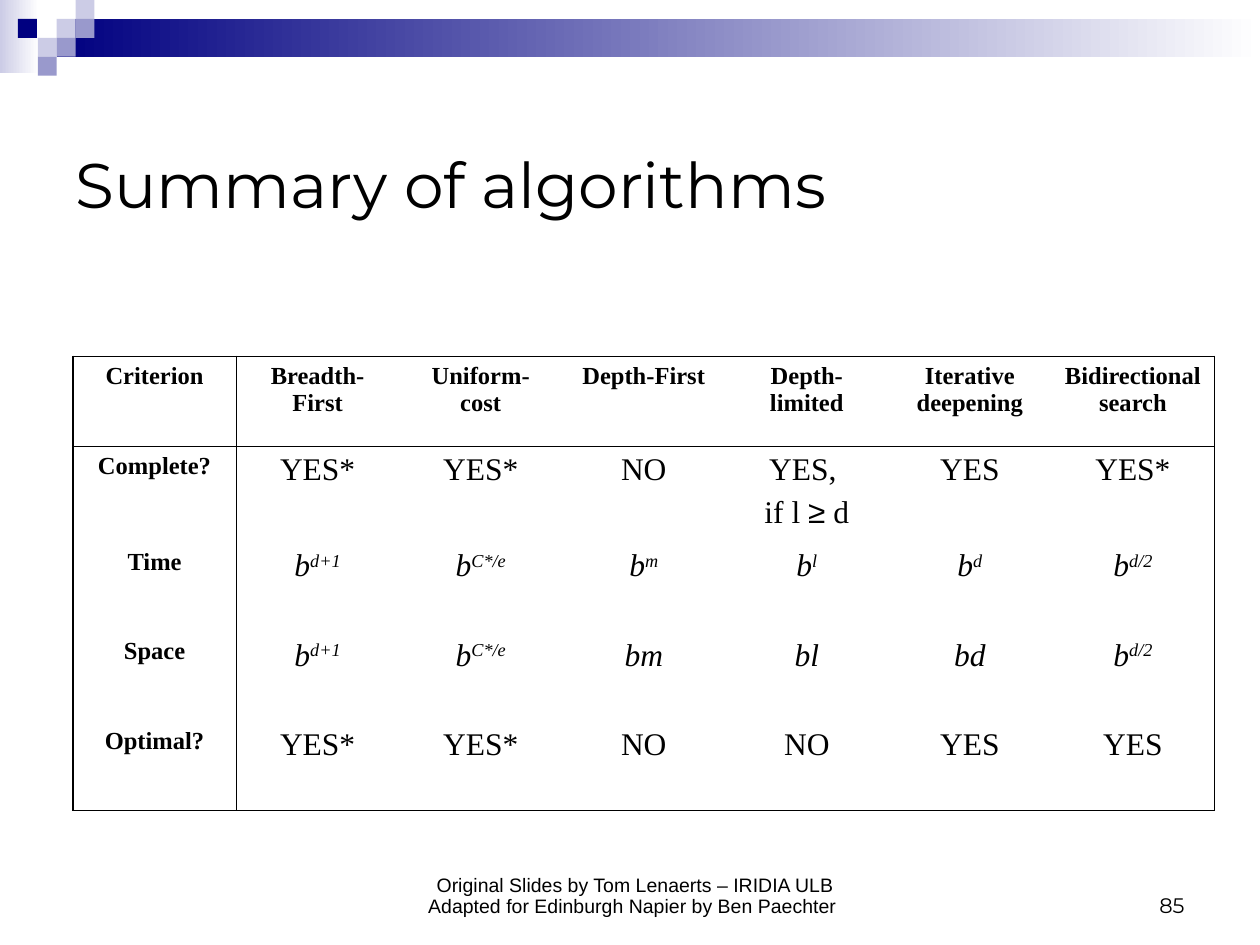
from lxml import etree
from pptx import Presentation
from pptx import util as u
from pptx.dml.color import RGBColor
from pptx.enum import shapes, text
from pptx.oxml.ns import qn

W, H = 10, 7.5
UNIT = 0.15
BLACK, NAVY, LILAC, VIOLET, WHITE = "000000", "000080", "CCCCE6", "9999CC", "FFFFFF"
SERIF, SANS, DISPLAY = "Times New Roman", "Arial", "Montserrat"
LEFT, CENTER, RIGHT = text.PP_ALIGN.LEFT, text.PP_ALIGN.CENTER, text.PP_ALIGN.RIGHT
MIDDLE, BOTTOM = text.MSO_ANCHOR.MIDDLE, text.MSO_ANCHOR.BOTTOM

BANDS = [((0, 0, 0.31, 0.58), LILAC), ((3 * UNIT, UNIT, W - 3 * UNIT, 2 * UNIT), NAVY)]
SQUARES = [(3, 1, LILAC), (4, 0, LILAC), (4, 1, VIOLET), (2, 2, LILAC),
           (0.95, 1, NAVY), (3, 2, VIOLET), (2, 3, VIOLET)]

TEXTS = [
    ((3, 6.83, 4.08, 0.5), ["Original Slides by Tom Lenaerts – IRIDIA ULB",
                            "Adapted for Edinburgh Napier by Ben Paechter "],
     SANS, 11.1, CENTER, BOTTOM, 0.9),
    ((7.17, 6.83, 2.33, 0.5), ["85"], DISPLAY, 12, RIGHT, BOTTOM, 1),
    ((0.5, 0.83, 9, 1.25), ["Summary of algorithms"], DISPLAY, 36, LEFT, MIDDLE, 1),
]

ROWS = [
    ["Criterion", "Breadth-First", "Uniform-cost", "Depth-First", "Depth-limited",
     "Iterative deepening", "Bidirectional search"],
    ["Complete?", "YES*", "YES*", "NO", "YES, \nif l ≥ d", "YES", "YES*"],
    ["Time", "b^d+1", "b^C*/e", "b^m", "b^l", "b^d", "b^d/2"],
    ["Space", "b^d+1", "b^C*/e", "bm", "bl", "bd", "b^d/2"],
    ["Optimal?", "YES*", "YES*", "NO", "NO", "YES", "YES"],
]
FORMULA_ROWS = (2, 3)
ROW_HEIGHTS = [0.71, 0.76, 0.71, 0.71, 0.71]
TABLE_LEFT, TABLE_TOP, TABLE_WIDTH = 0.58, 2.83, 9.06
THICK, THIN = 1.08, 0.45


def rgb(color):
    return RGBColor.from_string(color)


def inches(box):
    return [u.Inches(v) for v in box]


def add_rect(s, box, color, fade=False):
    sp = s.shapes.add_shape(shapes.MSO_SHAPE.RECTANGLE, *inches(box))
    sp.shadow.inherit = False
    sp.line.fill.background()
    if fade:
        sp.fill.gradient()
        sp.fill.gradient_angle = 0
        for stop, c in zip(sp.fill.gradient_stops, (color, WHITE)):
            stop.color.rgb = rgb(c)
    else:
        sp.fill.solid()
        sp.fill.fore_color.rgb = rgb(color)


def style(p, font, size, align):
    p.alignment = align
    p.font.name, p.font.size = font, u.Pt(size)
    p.font.color.rgb = rgb(BLACK)


def add_text(s, box, lines, font, size, align, anchor, spacing):
    tf = s.shapes.add_textbox(*inches(box)).text_frame
    tf.word_wrap = True
    tf.vertical_anchor = anchor
    for i, line in enumerate(lines):
        p = tf.add_paragraph() if i else tf.paragraphs[0]
        p.text = line
        p.line_spacing = spacing
        style(p, font, size, align)


def add_runs(p, line):
    base, _, power = line.partition("^")
    before, sign, after = base.partition("≥")
    for part in filter(None, (before, sign, after)):
        r = p.add_run()
        r.text = part
        if part == "≥":
            r.font.name = SANS
    if power:
        r = p.add_run()
        r.text = power
        r._r.get_or_add_rPr().set("baseline", "30000")


def set_borders(cell, widths):
    tcPr = cell._tc.get_or_add_tcPr()
    for side, width in zip("LRTB", widths):
        ln = etree.SubElement(tcPr, qn(f"a:ln{side}"), w=str(u.Pt(width)))
        if width:
            fill = etree.SubElement(ln, qn("a:solidFill"))
            etree.SubElement(fill, qn("a:srgbClr"), val=BLACK)
        else:
            etree.SubElement(ln, qn("a:noFill"))


def rule_width(i, count):
    return THICK if i in (0, count) else THIN if i == 1 else 0


def fill_cell(cell, content, i, j):
    label = i == 0 or j == 0
    tf = cell.text_frame
    for k, line in enumerate(content.split("\n")):
        p = tf.add_paragraph() if k else tf.paragraphs[0]
        add_runs(p, line)
        style(p, SERIF, 14 if label else 18, CENTER)
        p.font.bold = label
        p.font.italic = not label and i in FORMULA_ROWS
        if k:
            p.space_before = u.Pt(4.5)


def add_criteria_table(s):
    n, m = len(ROWS), len(ROWS[0])
    box = (TABLE_LEFT, TABLE_TOP, TABLE_WIDTH, sum(ROW_HEIGHTS))
    table = s.shapes.add_table(n, m, *inches(box)).table
    table.first_row = table.horz_banding = False
    for col in table.columns:
        col.width = u.Inches(TABLE_WIDTH / m)
    for i, (row, height) in enumerate(zip(ROWS, ROW_HEIGHTS)):
        table.rows[i].height = u.Inches(height)
        for j, content in enumerate(row):
            cell = table.cell(i, j)
            fill_cell(cell, content, i, j)
            set_borders(cell, (rule_width(j, m), rule_width(j + 1, m),
                               rule_width(i, n), rule_width(i + 1, n)))
            cell.fill.background()


def main():
    prs = Presentation()
    prs.slide_width, prs.slide_height = u.Inches(W), u.Inches(H)
    s = prs.slides.add_slide(prs.slide_layouts[6])
    for box, color in BANDS:
        add_rect(s, box, color, fade=True)
    for col, row, color in SQUARES:
        add_rect(s, (col * UNIT, row * UNIT, UNIT, UNIT), color)
    for item in TEXTS:
        add_text(s, *item)
    add_criteria_table(s)
    prs.save("out.pptx")


if __name__ == "__main__":
    main()
